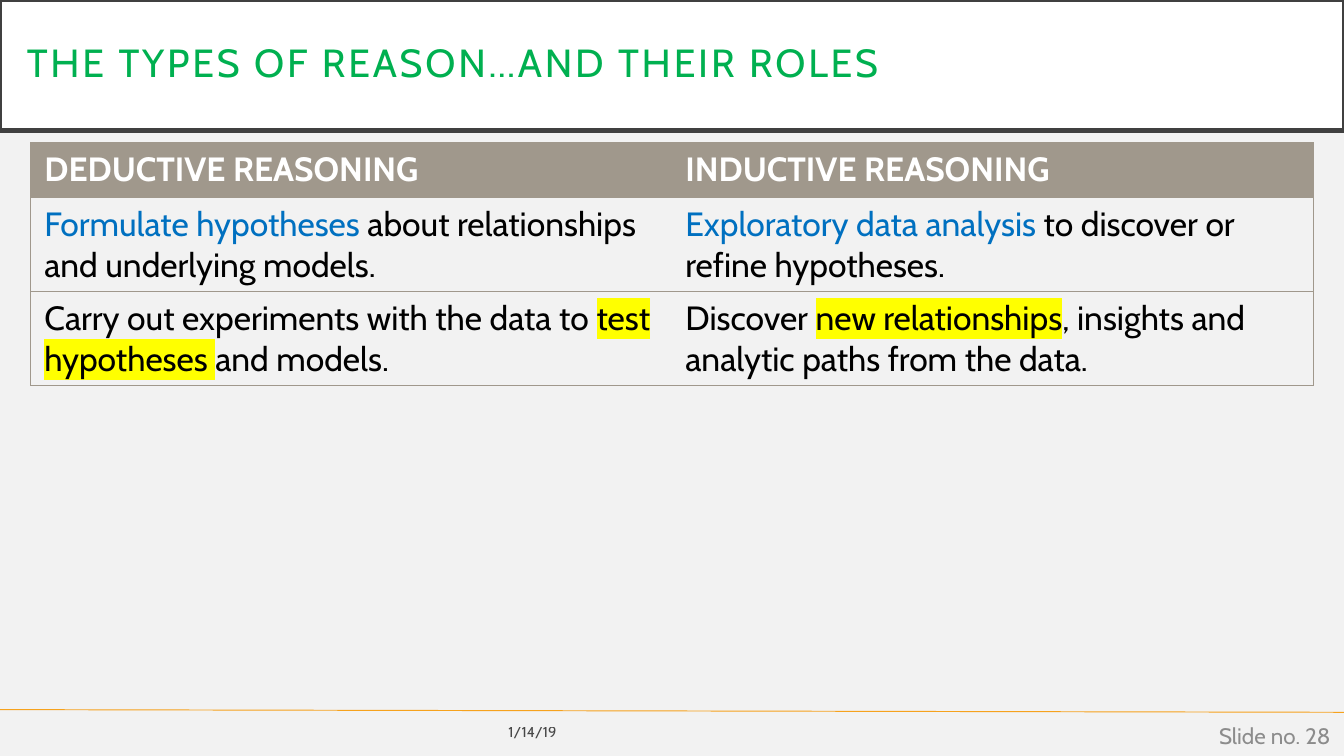
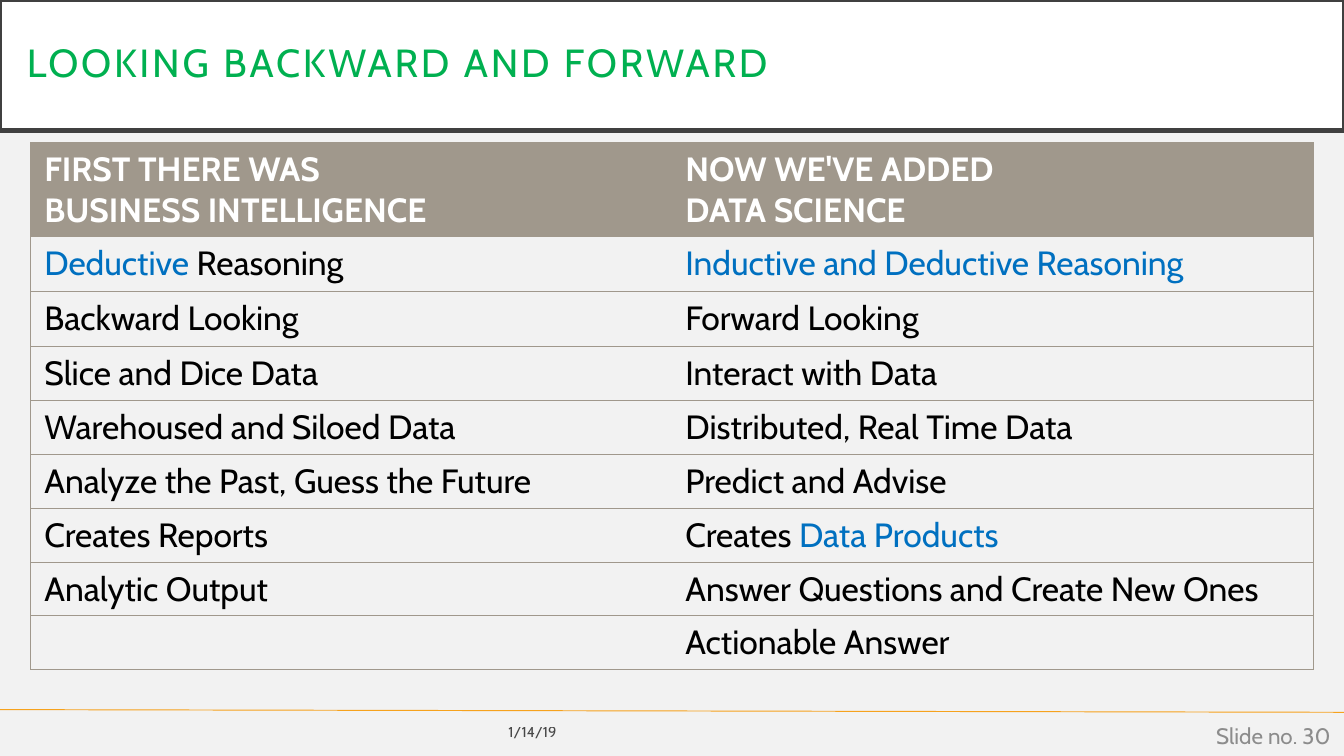
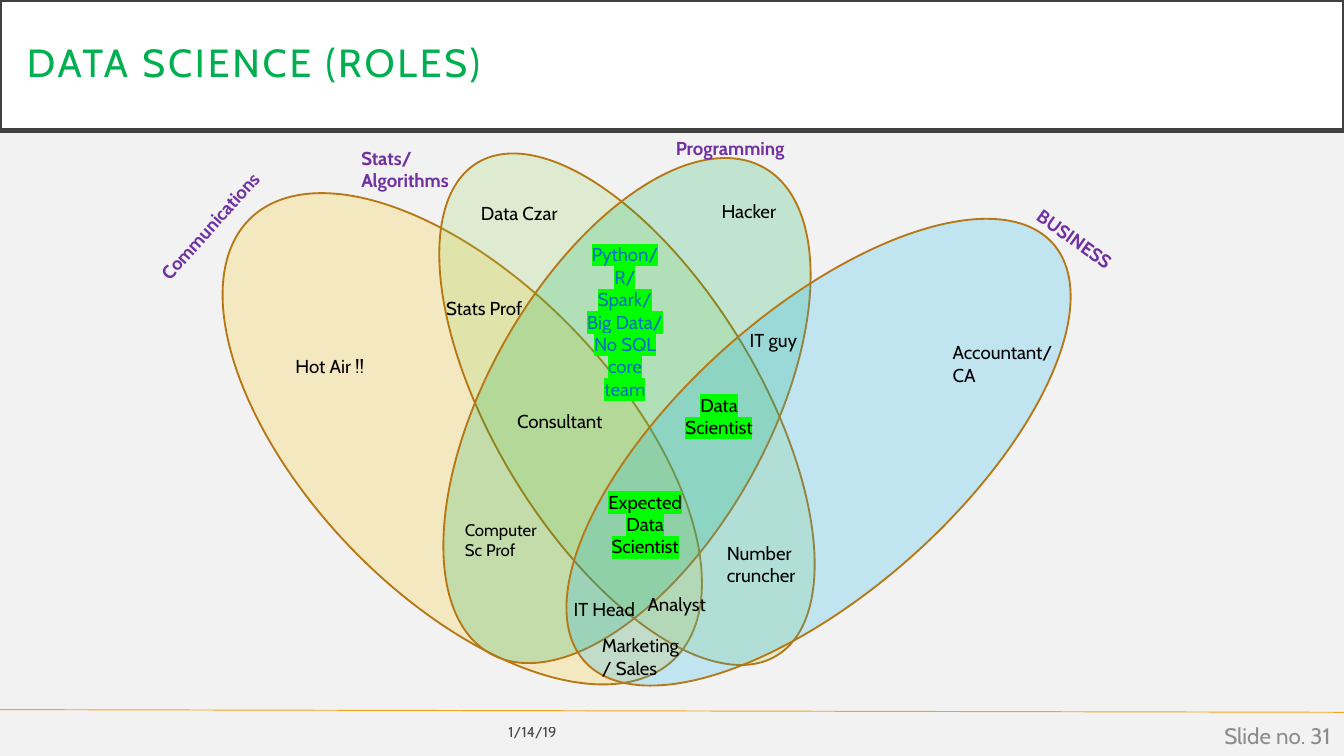
"""Build three slides on reasoning types, analytics eras and data science roles."""
from dataclasses import dataclass

from lxml import etree
from pptx import Presentation
from pptx import util as u
from pptx.dml.color import RGBColor
from pptx.enum import shapes, text
from pptx.oxml.ns import qn

FONT = "Cabin"
BLACK, WHITE, BLUE, PURPLE = "000000", "FFFFFF", "0070C0", "7030A0"
YELLOW, LIME = "FFFF00", "00FF00"
TITLE_GREEN, TITLE_BORDER, BACKGROUND = "00B050", "404040", "F2F2F2"
RULE_ORANGE, NUMBER_GRAY = "F6A21D", "8C8C8C"
TABLE_TAUPE, ELLIPSE_LINE = "A0988C", "B67815"
NO_TABLE_STYLE = "{2D5ABB26-0587-4C30-8999-92F81FD0307C}"


@dataclass(frozen=True)
class Span:
    """A stretch of text with its own colour or highlight."""
    text: str
    color: str = BLACK
    highlight: str = ""


@dataclass(frozen=True)
class Label:
    """A text box in the diagram or footer."""
    text: str
    left: float
    top: float
    width: float
    height: float
    color: str = BLACK
    highlight: str = ""
    size: float = 10
    bold: bool = False
    align: text.PP_ALIGN = text.PP_ALIGN.LEFT
    rotation: float = 0


@dataclass(frozen=True)
class Skill:
    """A tilted translucent ellipse for one skill area."""
    left: float
    top: float
    width: float
    height: float
    rotation: float
    color: str


Cell = str | tuple[Span, ...]
Row = tuple[Cell, Cell]

REASONING_ROWS: list[Row] = [
    ("DEDUCTIVE REASONING", "INDUCTIVE REASONING"),
    ((Span("Formulate hypotheses ", BLUE), Span("about relationships and underlying models.")),
     (Span("Exploratory data analysis ", BLUE), Span("to discover or refine hypotheses."))),
    ((Span("Carry out experiments with the data to "),
      Span("test hypotheses ", highlight=YELLOW), Span("and models.")),
     (Span("Discover "), Span("new relationships", highlight=YELLOW),
      Span(", insights and analytic paths from the data."))),
]

ERA_ROWS: list[Row] = [
    ("FIRST THERE WAS\nBUSINESS INTELLIGENCE", "NOW WE'VE ADDED\nDATA SCIENCE"),
    ((Span("Deductive", BLUE), Span(" Reasoning")),
     (Span("Inductive and Deductive Reasoning", BLUE),)),
    ("Backward Looking", "Forward Looking"),
    ("Slice and Dice Data", "Interact with Data"),
    ("Warehoused and Siloed Data", "Distributed, Real Time Data"),
    ("Analyze the Past, Guess the Future", "Predict and Advise"),
    ("Creates Reports", (Span("Creates "), Span("Data Products", BLUE))),
    ("Analytic Output", "Answer Questions and Create New Ones"),
    ("", "Actionable Answer"),
]

SKILLS = [
    Skill(2.28, 0.99, 2.32, 4.55, 316.2, "FFC000"),
    Skill(3.68, 0.9, 1.97, 4.29, 328.7, "92D050"),
    Skill(3.62, 0.98, 2.09, 4.15, 29.4, "00B050"),
    Skill(5.05, 1.03, 2.08, 4.67, 48.3, "00B0F0"),
]

CENTER = text.PP_ALIGN.CENTER
ROLES = [
    Label("Stats Prof", 3.22, 2.16, 0.78, 0.21),
    Label("Python/R/ Spark/ Big Data/ No SQL core team", 4.26, 1.76, 0.78, 0.94,
          BLUE, LIME, align=CENTER),
    Label("Hacker", 5.27, 1.44, 0.78, 0.21),
    Label("IT guy", 5.48, 2.4, 0.78, 0.21),
    Label("Expected Data Scientist", 4.41, 3.6, 0.78, 0.61, highlight=LIME, align=CENTER),
    Label("IT Head", 4.17, 4.4, 0.78, 0.21),
    Label("Computer Sc Prof", 3.36, 3.82, 0.78, 0.4, size=9),
    Label("Data Czar", 3.48, 1.45, 0.78, 0.21),
    Label("Hot Air !!", 2.1, 2.59, 0.78, 0.21),
    Label("Consultant", 3.75, 3, 0.87, 0.21),
    Label("Communications", 0.94, 1.5, 1.33, 0.27, PURPLE, bold=True, rotation=312.1),
    Label("Programming", 4.93, 0.97, 1.12, 0.27, PURPLE, bold=True),
    Label("BUSINESS", 7.56, 1.69, 1, 0.27, PURPLE, bold=True, rotation=35.3),
    Label("Stats/ Algorithms", 2.59, 1.04, 0.94, 0.44, PURPLE, bold=True),
    Label("Accountant/ CA", 6.99, 2.49, 0.99, 0.34),
    Label("Number cruncher", 5.31, 3.98, 0.83, 0.34),
    Label("Analyst", 4.72, 4.36, 0.83, 0.21),
    Label("Marketing/ Sales", 4.38, 4.67, 0.83, 0.34),
    Label("Data Scientist", 4.96, 2.88, 0.78, 0.44, highlight=LIME, align=CENTER),
]


def rgb(color: str) -> RGBColor:
    """Turn a hex string into a colour."""
    return RGBColor.from_string(color)


def set_alpha(element, percent: int) -> None:
    """Make every colour inside an element translucent."""
    for color in element.iter(qn("a:srgbClr")):
        etree.SubElement(color, qn("a:alpha")).set("val", str(percent * 1000))


def style_paragraph(paragraph, size: float, color: str, bold: bool = False) -> None:
    """Set the shared font of a paragraph."""
    font = paragraph.font
    font.name, font.size, font.bold = FONT, u.Pt(size), bold
    font.color.rgb = rgb(color)


def add_span(paragraph, span: Span, base_color: str):
    """Add a run, marking only what differs from its paragraph."""
    run = paragraph.add_run()
    run.text = span.text
    if span.color != base_color:
        run.font.color.rgb = rgb(span.color)
    if span.highlight:
        highlight = etree.SubElement(run.font._element, qn("a:highlight"))
        etree.SubElement(highlight, qn("a:srgbClr")).set("val", span.highlight)
    return run


def place(item: Label | Skill) -> tuple[u.Length, ...]:
    """Give the position and size of an item."""
    return tuple(u.Inches(value) for value in (item.left, item.top, item.width, item.height))


def add_label(slide, label: Label, footer: bool = False):
    """Draw a wrapped text box and return its paragraph."""
    box = slide.shapes.add_textbox(*place(label))
    box.rotation = label.rotation
    frame = box.text_frame
    frame.word_wrap = True
    if footer:
        frame.vertical_anchor = text.MSO_ANCHOR.MIDDLE
    else:
        frame.auto_size = text.MSO_AUTO_SIZE.SHAPE_TO_FIT_TEXT
    paragraph = frame.paragraphs[0]
    paragraph.alignment = label.align
    style_paragraph(paragraph, label.size, label.color, label.bold)
    add_span(paragraph, Span(label.text, label.color, label.highlight), label.color)
    return paragraph


def add_title(slide, title: str) -> None:
    """Draw the outlined title band."""
    band = slide.shapes.add_shape(
        shapes.MSO_SHAPE.RECTANGLE, 0, 0, u.Inches(10), u.Inches(0.97))
    band.shadow.inherit = False
    band.fill.solid()
    band.fill.fore_color.rgb = rgb(WHITE)
    band.line.color.rgb = rgb(TITLE_BORDER)
    band.line.width = u.Pt(2.5)
    frame = band.text_frame
    frame.word_wrap = True
    frame.vertical_anchor = text.MSO_ANCHOR.MIDDLE
    frame.margin_left = frame.margin_right = u.Inches(0.2)
    frame.margin_top = frame.margin_bottom = u.Inches(0.2)
    paragraph = frame.paragraphs[0]
    paragraph.alignment = text.PP_ALIGN.LEFT
    paragraph.line_spacing = 0.9
    style_paragraph(paragraph, 21, TITLE_GREEN)
    run = add_span(paragraph, Span(title, TITLE_GREEN), TITLE_GREEN)
    run.font._element.set("spc", "150")


def add_footer(slide, number: int) -> None:
    """Draw the date and the slide number."""
    right = text.PP_ALIGN.RIGHT
    date = add_label(slide, Label("1/14/19", 0, 5.31, 4.24, 0.27, size=7.9, align=right), True)
    set_alpha(date._p, 70)
    add_label(slide, Label(f"Slide no. {number}", 7.75, 5.32, 2.25, 0.3,
                           NUMBER_GRAY, size=12, align=right), True)


def add_base_slide(presentation, title: str, number: int):
    """Add a slide with the shared background, title, rule and footer."""
    slide = presentation.slides.add_slide(presentation.slide_layouts[6])
    slide.background.fill.solid()
    slide.background.fill.fore_color.rgb = rgb(BACKGROUND)
    rule = slide.shapes.add_connector(
        shapes.MSO_CONNECTOR.STRAIGHT, 0, u.Inches(5.28), u.Inches(10), u.Inches(5.3))
    rule.line.color.rgb = rgb(RULE_ORANGE)
    rule.line.width = u.Pt(0.5)
    etree.SubElement(rule._element.spPr, qn("a:effectLst"))
    add_title(slide, title)
    add_footer(slide, number)
    return slide


def set_borders(cell, visible: str) -> None:
    """Draw the named sides of a cell and clear the others."""
    properties = cell._tc.get_or_add_tcPr()
    for index, side in enumerate("LRTB"):
        line = etree.Element(qn(f"a:ln{side}"), w=str(u.Pt(0.5)))
        if side in visible:
            fill = etree.SubElement(line, qn("a:solidFill"))
            etree.SubElement(fill, qn("a:srgbClr")).set("val", TABLE_TAUPE)
        else:
            etree.SubElement(line, qn("a:noFill"))
        properties.insert(index, line)


def fill_cell(cell, content: Cell, header: bool) -> None:
    """Write a cell's text and set its fill."""
    color = WHITE if header else BLACK
    if header:
        cell.fill.solid()
        cell.fill.fore_color.rgb = rgb(TABLE_TAUPE)
    else:
        cell.fill.background()
    if isinstance(content, str):
        lines = [(Span(line, color),) for line in content.split("\n")]
    else:
        lines = [content]
    for index, spans in enumerate(lines):
        frame = cell.text_frame
        paragraph = frame.add_paragraph() if index else frame.paragraphs[0]
        style_paragraph(paragraph, 18, color, header)
        for span in spans:
            if span.text:
                add_span(paragraph, span, color)


def add_comparison(slide, rows: list[Row], height: float) -> None:
    """Draw a two-column table with a filled header row."""
    frame = slide.shapes.add_table(
        len(rows), 2, u.Inches(0.23), u.Inches(1.06), u.Inches(9.54), u.Inches(height))
    table = frame.table
    table.horz_banding = False
    table._tbl.tblPr.find(qn("a:tableStyleId")).text = NO_TABLE_STYLE
    for row_index, row in enumerate(rows):
        table.rows[row_index].height = u.Inches(0.41 if row_index < 3 else 0.3)
        for column_index, content in enumerate(row):
            cell = table.cell(row_index, column_index)
            fill_cell(cell, content, row_index == 0)
            set_borders(cell, "TB" + "LR"[column_index])
    frame.height = u.Inches(height)


def add_skill(slide, skill: Skill) -> None:
    """Draw one ellipse of the skills diagram."""
    ellipse = slide.shapes.add_shape(shapes.MSO_SHAPE.OVAL, *place(skill))
    ellipse.rotation = skill.rotation
    ellipse.shadow.inherit = False
    ellipse.fill.solid()
    ellipse.fill.fore_color.rgb = rgb(skill.color)
    set_alpha(ellipse._element.spPr, 20)
    ellipse.line.color.rgb = rgb(ELLIPSE_LINE)
    ellipse.line.width = u.Pt(1)


def main() -> None:
    """Build and save the presentation."""
    presentation = Presentation()
    presentation.slide_width = u.Inches(10)
    presentation.slide_height = u.Inches(10) * 9 // 16

    reasoning = add_base_slide(presentation, "THE TYPES OF REASON…AND THEIR ROLES", 28)
    add_comparison(reasoning, REASONING_ROWS, 1.51)

    eras = add_base_slide(presentation, "LOOKING BACKWARD AND FORWARD", 30)
    add_comparison(eras, ERA_ROWS, 3.32)

    roles = add_base_slide(presentation, "DATA SCIENCE (ROLES)", 31)
    for skill in SKILLS:
        add_skill(roles, skill)
    for role in ROLES:
        add_label(roles, role)

    presentation.save("out.pptx")


if __name__ == "__main__":
    main()
